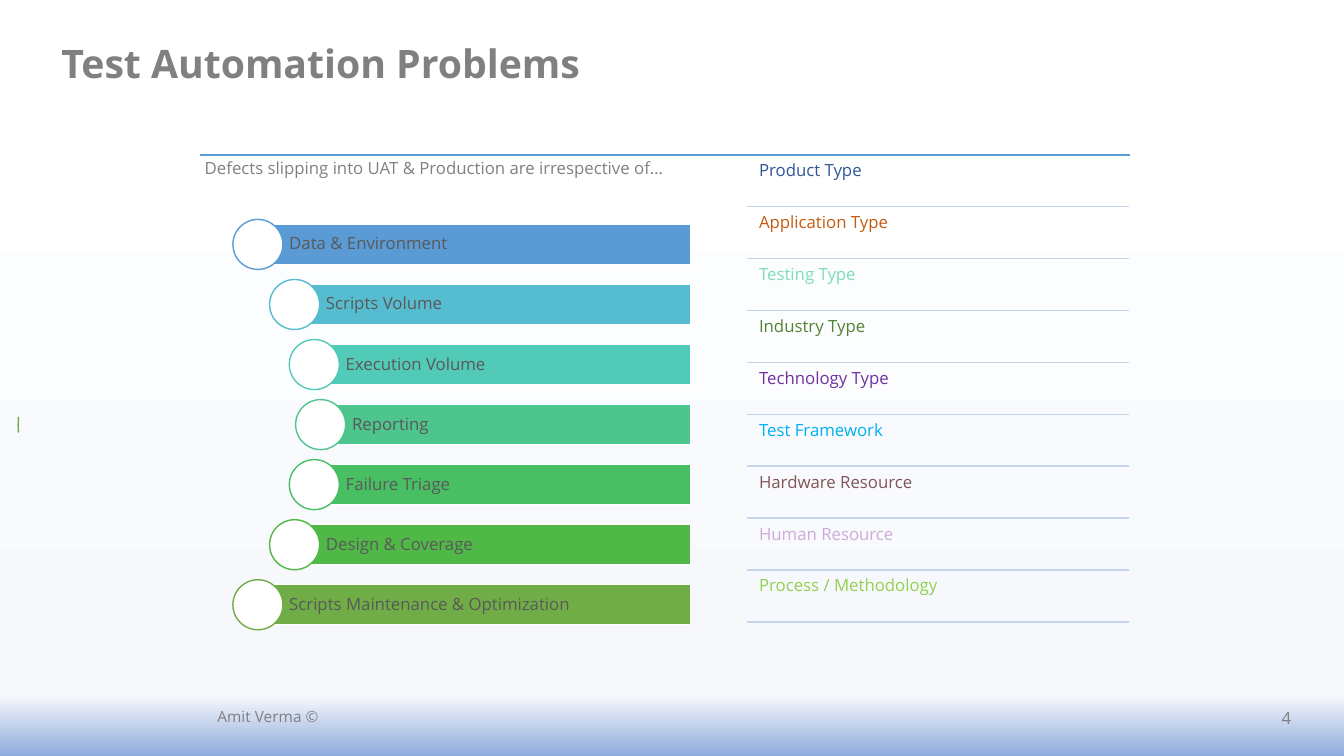
import math

from lxml import etree
from pptx import Presentation
from pptx.dml.color import RGBColor
from pptx.enum.shapes import MSO_CONNECTOR, MSO_SHAPE
from pptx.enum.text import MSO_ANCHOR, PP_ALIGN
from pptx.oxml.ns import qn
from pptx.util import Cm, Pt

RECTANGLE, OVAL, BLOCK_ARC = MSO_SHAPE.RECTANGLE, MSO_SHAPE.OVAL, MSO_SHAPE.BLOCK_ARC
STRAIGHT = MSO_CONNECTOR.STRAIGHT
TOP, MIDDLE = MSO_ANCHOR.TOP, MSO_ANCHOR.MIDDLE
LEFT, CENTER, RIGHT = PP_ALIGN.LEFT, PP_ALIGN.CENTER, PP_ALIGN.RIGHT

FONT = "Open Sans"
COLORS = {
    "white": "FFFFFF",
    "gray": "808080",
    "bar_text": "595959",
    "header_rule": "5B9BD5",
    "row_rule": "C4D5EB",
    "arc": "70AD47",
}
BACKGROUND_STOPS = [(0, "FFFFFF"), (14, "FFFFFF"), (92, "F6F8FC"), (100, "8FAADC")]
PROBLEMS = [
    ("Data & Environment", "5B9BD5"),
    ("Scripts Volume", "56BCD0"),
    ("Execution Volume", "52CAB8"),
    ("Reporting", "4DC58D"),
    ("Failure Triage", "49BF64"),
    ("Design & Coverage", "50B846"),
    ("Scripts Maintenance & Optimization", "70AD47"),
]
FACTORS = [
    ("Product Type", "2F5597"),
    ("Application Type", "C55A11"),
    ("Testing Type", "7EDCB8"),
    ("Industry Type", "548235"),
    ("Technology Type", "7030A0"),
    ("Test Framework", "00B0F0"),
    ("Hardware Resource", "815557"),
    ("Human Resource", "CDACD8"),
    ("Process / Methodology", "92D050"),
]


def rgb(color):
    return RGBColor.from_string(color)


def write(shape, text, color, size=12, bold=False, align=LEFT, anchor=TOP,
          insets=(0.25, 0.13, 0.25, 0.13), spacing=1.0):
    frame = shape.text_frame
    frame.word_wrap = True
    frame.vertical_anchor = anchor
    (frame.margin_left, frame.margin_top,
     frame.margin_right, frame.margin_bottom) = map(Cm, insets)
    paragraph = frame.paragraphs[0]
    paragraph.text = text
    paragraph.alignment = align
    paragraph.line_spacing = spacing
    paragraph.font.name = FONT
    paragraph.font.size = Pt(size)
    paragraph.font.bold = bold
    paragraph.font.color.rgb = rgb(color)


def add_text(slide, box, text, color, **style):
    write(slide.shapes.add_textbox(*map(Cm, box)), text, color, **style)


def add_outlined(slide, kind, box, fill, line):
    shape = slide.shapes.add_shape(kind, *map(Cm, box))
    shape.shadow.inherit = False
    if fill:
        shape.fill.solid()
        shape.fill.fore_color.rgb = rgb(fill)
    else:
        shape.fill.background()
    shape.line.color.rgb = rgb(line)
    shape.line.width = Pt(1)
    return shape


def add_rule(slide, left, top, width, color):
    rule = slide.shapes.add_connector(
        STRAIGHT, Cm(left), Cm(top), Cm(left + width), Cm(top))
    rule.line.color.rgb = rgb(color)
    rule.line.width = Pt(1)
    etree.SubElement(rule._element.spPr, qn("a:effectLst"))


def paint_background(slide):
    fill = slide.background.fill
    fill.gradient()
    fill.gradient_angle = 270
    stops = slide.background._cSld.find(".//" + qn("a:gsLst"))
    for stop in list(stops):
        stops.remove(stop)
    for position, color in BACKGROUND_STOPS:
        stop = etree.SubElement(stops, qn("a:gs"), pos=str(position * 1000))
        etree.SubElement(stop, qn("a:srgbClr"), val=color)


def add_heading(slide, box):
    add_text(slide, box, "Test Automation Problems", COLORS["gray"],
             size=28, bold=True, align=CENTER)


def add_lead(slide, box):
    """Blue rule with the lead sentence under it."""
    left, top, width, height = box
    add_rule(slide, left, top, width, COLORS["header_rule"])
    add_text(slide, (left, top, 13.79, height),
             "Defects slipping into UAT & Production are irrespective of…",
             COLORS["gray"], insets=[0.13] * 4, spacing=0.9)


def add_factors(slide, box):
    """Equal rows, each closed by a thin rule."""
    left, top, width, height = box
    pitch = height / len(FACTORS)
    for row, (factor, color) in enumerate(FACTORS):
        row_top = top + row * pitch
        add_text(slide, (left + 0.18, row_top + 0.06, width - 0.18, 1.25),
                 factor, color, insets=[0.13] * 4, spacing=0.9)
        add_rule(slide, left, row_top + pitch, width, COLORS["row_rule"])


def add_problems(slide, box):
    """Bars whose left ends, marked by circles, follow an arc."""
    left, top, width, height = box
    diameter, bar_height, radius = 1.26, 1.01, 7.31
    half_span = (height - diameter) / 2
    pitch = 2 * half_span / (len(PROBLEMS) - 1)
    chord = math.sqrt(radius ** 2 - half_span ** 2)
    for row, (problem, color) in enumerate(PROBLEMS):
        rise = row * pitch - half_span
        shift = math.sqrt(radius ** 2 - rise ** 2) - chord
        center_x = left + diameter / 2 + shift
        center_y = top + diameter / 2 + row * pitch
        bar = add_outlined(
            slide, RECTANGLE,
            (center_x, center_y - bar_height / 2, left + width - center_x, bar_height),
            color, COLORS["white"])
        write(bar, problem, COLORS["bar_text"], anchor=MIDDLE,
              insets=(0.79, 0.08, 0.08, 0.08), spacing=0.9)
        add_outlined(
            slide, OVAL,
            (center_x - diameter / 2, center_y - diameter / 2, diameter, diameter),
            COLORS["white"], color)


def add_side_arc(slide, box):
    arc = add_outlined(slide, BLOCK_ARC, box, None, COLORS["arc"])
    for index, value in enumerate((189, 27, 0.004)):
        arc.adjustments[index] = value
    arc._element.spPr.find(qn("a:xfrm")).set("flipH", "1")


def add_footer(slide, box):
    left, top, width, height = box
    add_text(slide, (left, top, 11.43, height), "Amit Verma ©",
             COLORS["gray"], size=11, align=CENTER, anchor=MIDDLE)
    add_text(slide, (left + width - 16.71, top + 0.1, 16.71, 0.91), "4",
             COLORS["gray"], align=RIGHT, anchor=MIDDLE)


def main():
    presentation = Presentation()
    presentation.slide_width = Cm(33.87)
    presentation.slide_height = Cm(19.05)
    slide = presentation.slides.add_slide(presentation.slide_layouts[6])
    paint_background(slide)
    add_lead(slide, (5.03, 3.91, 23.44, 11.84))
    add_factors(slide, (18.82, 3.9, 9.63, 11.77))
    add_side_arc(slide, (0.46, 9.88, 0.38, 1.65))
    add_problems(slide, (5.87, 5.53, 11.53, 10.34))
    add_heading(slide, (0.51, 0.86, 15.14, 1.45))
    add_footer(slide, (1.04, 17.53, 31.75, 1.02))
    presentation.save("out.pptx")


if __name__ == "__main__":
    main()
